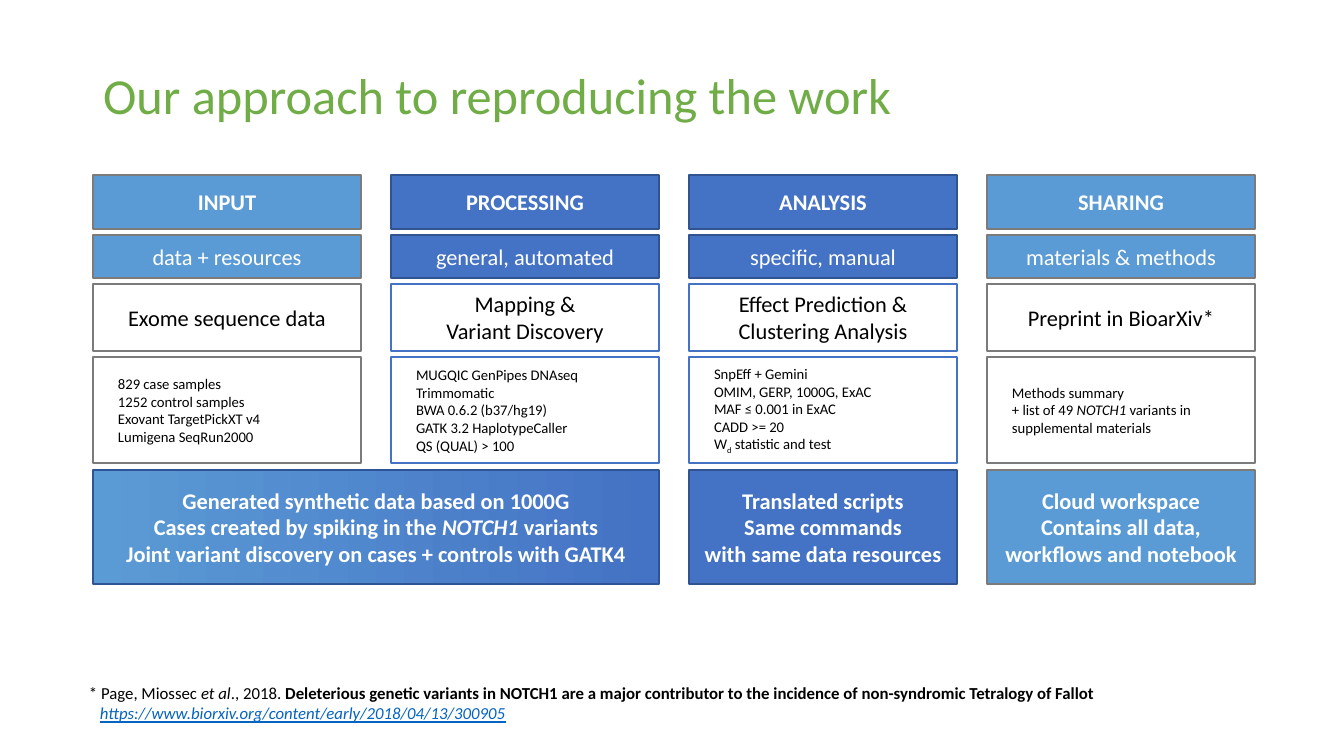
from pptx import Presentation
from pptx.dml.color import RGBColor
from pptx.enum.shapes import MSO_SHAPE as Shape
from pptx.enum.text import MSO_ANCHOR as Anchor, MSO_AUTO_SIZE as AutoSize, PP_ALIGN as Align
from pptx.util import Emu, Pt

EMU_PER_PX = 914400 / 100.8
WHITE, BLACK, GREEN, LINK = "FFFFFF", "000000", "70AD47", "0563C1"
SKY, ROYAL, GREY, NAVY, DEEP = "5B9BD5", "4472C4", "7B7B7B", "31538F", "2F5496"


def px(length):
    return Emu(round(length * EMU_PER_PX))


def rgb(code):
    return RGBColor.from_string(code)


class SlideBuilder:
    font_name = "Calibri"

    def __init__(self, slide):
        self.slide = slide

    def place(self, shape, box):
        shape.left, shape.top, shape.width, shape.height = map(px, box)

    def style(self, font, size, color, bold=None):
        font.name, font.size, font.bold = self.font_name, Pt(size), bold
        font.color.rgb = rgb(color)

    def fill_text(self, frame, lines, size, color, bold=None, align=Align.LEFT):
        """Each line is a string or a list of strings and (text, mark) pairs."""
        frame.word_wrap = True
        for number, line in enumerate(lines):
            paragraph = frame.add_paragraph() if number else frame.paragraphs[0]
            paragraph.alignment = align
            self.style(paragraph.font, size, color, bold)
            for piece in [line] if isinstance(line, str) else line:
                text, mark = (piece, "") if isinstance(piece, str) else piece
                run = paragraph.add_run()
                run.text = text
                if mark in ("italic", "link"):
                    run.font.italic = True
                if mark == "bold":
                    run.font.bold = True
                if mark == "link":
                    run.font.underline = True
                    run.font.color.rgb = rgb(LINK)
                if mark == "sub":
                    run._r.get_or_add_rPr().set("baseline", "-25000")

    def title(self, box, text):
        heading = self.slide.shapes.title
        self.place(heading, box)
        frame = heading.text_frame
        frame.vertical_anchor = Anchor.MIDDLE
        frame.auto_size = AutoSize.NONE
        self.fill_text(frame, [text], 36, GREEN)
        frame.paragraphs[0].line_spacing = 0.9

    def panel(self, box, lines, fill, border, size=16, color=WHITE, bold=None,
              align=Align.CENTER, inset=10):
        panel = self.slide.shapes.add_shape(Shape.RECTANGLE, *map(px, box))
        panel.shadow.inherit = False
        if isinstance(fill, tuple):
            panel.fill.gradient()
            panel.fill.gradient_angle = 0
            for stop, shade in zip(panel.fill.gradient_stops, fill):
                stop.color.rgb = rgb(shade)
        else:
            panel.fill.solid()
            panel.fill.fore_color.rgb = rgb(fill)
        panel.line.color.rgb = rgb(border)
        panel.line.width = Pt(1)
        frame = panel.text_frame
        frame.vertical_anchor = Anchor.MIDDLE
        frame.margin_left = px(inset)
        self.fill_text(frame, lines, size, color, bold, align)

    def footnote(self, box, lines):
        frame = self.slide.shapes.add_textbox(*map(px, box)).text_frame
        self.fill_text(frame, lines, 12, BLACK)
        for paragraph in frame.paragraphs[1:]:
            paragraph._p.get_or_add_pPr().set("marL", str(px(11)))


# Column grid and row bands, in px
LEFT, STEP, WIDTH = 93, 298, 268
HEADING, SUBHEADING, TASK, DETAIL, OUTCOME = (
    (175, 54), (235, 43), (284, 67), (357, 106), (470, 114))

# Stage, kind of work, task, details, fill, dark border, light border
STAGES = [
    ("INPUT", "data + resources", ["Exome sequence data"],
     ["829 case samples", "1252 control samples",
      "Exovant TargetPickXT v4", "Lumigena SeqRun2000"], SKY, GREY, GREY),
    ("PROCESSING", "general, automated", ["Mapping &", "Variant Discovery"],
     ["MUGQIC GenPipes DNAseq", "Trimmomatic", "BWA 0.6.2 (b37/hg19)",
      "GATK 3.2 HaplotypeCaller", "QS (QUAL) > 100"], ROYAL, NAVY, ROYAL),
    ("ANALYSIS", "specific, manual", ["Effect Prediction &", "Clustering Analysis"],
     ["SnpEff + Gemini", "OMIM, GERP, 1000G, ExAC", "MAF ≤ 0.001 in ExAC",
      "CADD >= 20", ["W", ("d", "sub"), " statistic and test"]], ROYAL, NAVY, ROYAL),
    ("SHARING", "materials & methods", ["Preprint in BioarXiv*"],
     ["Methods summary",
      ["+ list of 49 ", ("NOTCH1 ", "italic"), "variants in supplemental materials"]],
     SKY, GREY, GREY),
]

# First column, columns spanned, text, fill, border
OUTCOMES = [
    (0, 2, ["Generated synthetic data based on 1000G",
            ["Cases created by spiking in the ", ("NOTCH1", "italic"), " variants"],
            "Joint variant discovery on cases + controls with GATK4"], (SKY, ROYAL), DEEP),
    (2, 1, ["Translated scripts", "Same commands", "with same data resources"], ROYAL, NAVY),
    (3, 1, ["Cloud workspace", "Contains all data, workflows and notebook"], SKY, GREY),
]


def cell(column, band, span=1):
    top, height = band
    return LEFT + column * STEP, top, WIDTH + (span - 1) * STEP, height


def main():
    deck = Presentation()
    deck.slide_width, deck.slide_height = px(1344), px(756)
    builder = SlideBuilder(deck.slides.add_slide(deck.slide_layouts[5]))
    builder.title((93, 25, 1159, 146), "Our approach to reproducing the work")

    # Workflow stages
    for column, (stage, work, task, details, fill, dark, light) in enumerate(STAGES):
        builder.panel(cell(column, HEADING), [stage], fill, dark, bold=True)
        builder.panel(cell(column, SUBHEADING), [work], fill, dark)
        builder.panel(cell(column, TASK), task, WHITE, light, color=BLACK)
        builder.panel(cell(column, DETAIL), details, WHITE, light, size=10.5,
                      color=BLACK, align=Align.LEFT, inset=25)

    # What was reproduced
    for column, span, lines, fill, border in OUTCOMES:
        builder.panel(cell(column, OUTCOME, span), lines, fill, border, bold=True)

    # Citation
    builder.footnote((79, 678, 1039, 50), [
        ["* Page, Miossec ", ("et al", "italic"), "., 2018. ",
         ("Deleterious genetic variants in NOTCH1 are a major contributor to the "
          "incidence of non-syndromic Tetralogy of Fallot", "bold")],
        [("https://www.biorxiv.org/content/early/2018/04/13/300905", "link")],
    ])
    deck.save("out.pptx")


if __name__ == "__main__":
    main()
